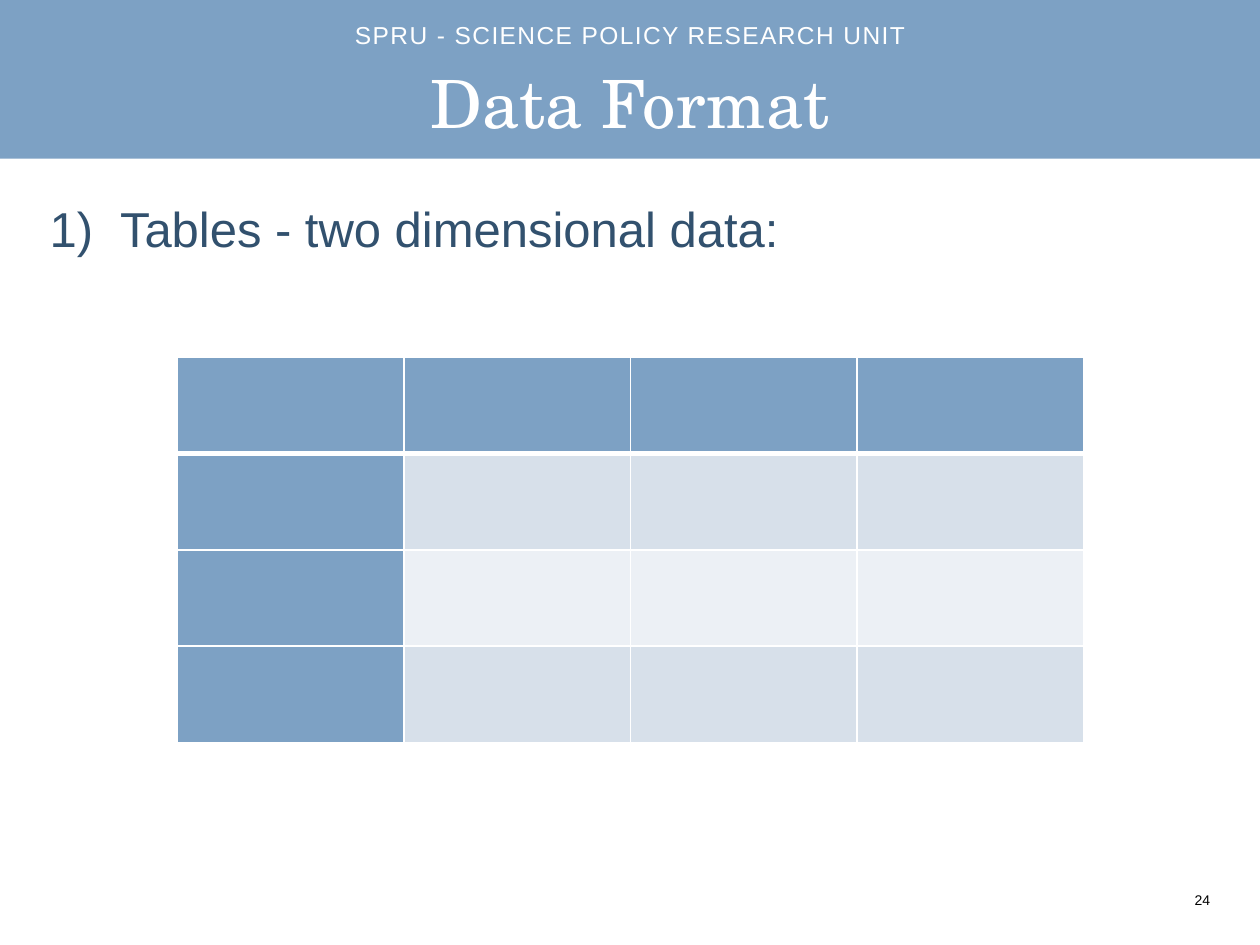
from lxml.etree import SubElement as Sub
from pptx import Presentation
from pptx.dml.color import RGBColor as RGB
from pptx.enum.shapes import MSO_SHAPE as Shape
from pptx.enum.text import MSO_ANCHOR as Anchor, MSO_AUTO_SIZE as Auto, PP_ALIGN as Align
from pptx.oxml.ns import qn
from pptx.util import Cm, Pt

COLORS = {
    "blue": "7DA1C4",
    "navy": "32516E",
    "band": "D7E0EA",
    "pale": "ECF0F5",
    "white": "FFFFFF",
    "black": "000000",
}
SANS, SERIF = "Arial", "TeX Gyre Schola"


def color(name):
    return RGB.from_string(COLORS[name])


class Deck:
    def __init__(self, width, height):
        self.prs = Presentation()
        self.prs.slide_width, self.prs.slide_height = Cm(width), Cm(height)
        self.slide = self.prs.slides.add_slide(self.prs.slide_layouts[1])
        self.shapes = self.slide.shapes

    def put(self, shape, text, size, ink, font=SANS, align=Align.LEFT, anchor=Anchor.TOP):
        """Fill a shape with one styled paragraph and return the paragraph."""
        frame = shape.text_frame
        frame.text = text
        frame.word_wrap = True
        frame.auto_size = Auto.NONE
        frame.vertical_anchor = anchor
        frame.margin_left = frame.margin_right = frame.margin_top = frame.margin_bottom = 0
        para = frame.paragraphs[0]
        para.alignment = align
        para.space_before = Pt(0)
        style = para.runs[0].font
        style.name, style.size = font, Pt(size)
        style.color.rgb = color(ink)
        return para

    def place(self, shape, box):
        shape.left, shape.top, shape.width, shape.height = map(Cm, box)

    def banner(self, box, fill):
        rect = self.shapes.add_shape(Shape.RECTANGLE, *map(Cm, box))
        rect.shadow.inherit = False
        rect.fill.solid()
        rect.fill.fore_color.rgb = color(fill)
        rect.line.fill.background()
        self.shapes.title.element.addprevious(rect.element)

    def label(self, box, text, size, ink, space=0, **style):
        para = self.put(self.shapes.add_textbox(*map(Cm, box)), text, size, ink, **style)
        if space:
            para.runs[0]._r.get_or_add_rPr().set("spc", str(space))

    def title(self, box, text, size, ink):
        shape = self.shapes.title
        self.place(shape, box)
        para = self.put(shape, text, size, ink, SERIF, Align.CENTER, Anchor.MIDDLE)
        para.line_spacing = 0.9

    def point(self, box, text, size, ink, indent):
        """Set the body placeholder as a numbered list."""
        shape = self.slide.placeholders[1]
        self.place(shape, box)
        para = self.put(shape, text, size, ink)
        para.line_spacing = 0.95
        props = para._p.get_or_add_pPr()
        props.set("marL", str(Cm(indent)))
        props.set("indent", str(-Cm(indent)))
        Sub(props, qn("a:buFont"), typeface="+mj-lt")
        Sub(props, qn("a:buAutoNum"), type="arabicParenR")
        para.font.size = Pt(size)

    def edge(self, cell, side, width):
        line = Sub(cell._tc.get_or_add_tcPr(), qn(f"a:ln{side}"), w=str(Pt(width)))
        Sub(Sub(line, qn("a:solidFill")), qn("a:srgbClr"), val=COLORS["white"])

    def table(self, box, rows, cols):
        table = self.shapes.add_table(rows, cols, *map(Cm, box)).table
        for r in range(rows):
            for c in range(cols):
                cell = table.cell(r, c)
                widths = {"L": 1, "R": 1, "T": 3 if r == 1 else 1, "B": 3 if r == 0 else 1}
                for side, width in widths.items():
                    self.edge(cell, side, width)
                head = r == 0 or c == 0
                cell.fill.solid()
                cell.fill.fore_color.rgb = color("blue" if head else "band" if r % 2 else "pale")


def main():
    deck = Deck(25.4, 19.05)
    deck.banner((0, 0, 25.4, 3.2), "blue")
    deck.label((3.18, 0.41, 19.05, 0.76), "SPRU - SCIENCE POLICY RESEARCH UNIT",
               14, "white", space=80, align=Align.CENTER)
    deck.title((1, 1.17, 23.4, 1.98), "Data Format", 38, "white")
    deck.point((1, 4.09, 23.4, 11.56), "Tables - two dimensional data:", 28, "navy", 1.42)
    deck.table((3.58, 7.2, 18.26, 7.77), 4, 4)
    deck.label((23.4, 17.9, 1, 0.5), "24", 8, "black", align=Align.RIGHT, anchor=Anchor.MIDDLE)
    deck.prs.save("out.pptx")


if __name__ == "__main__":
    main()
